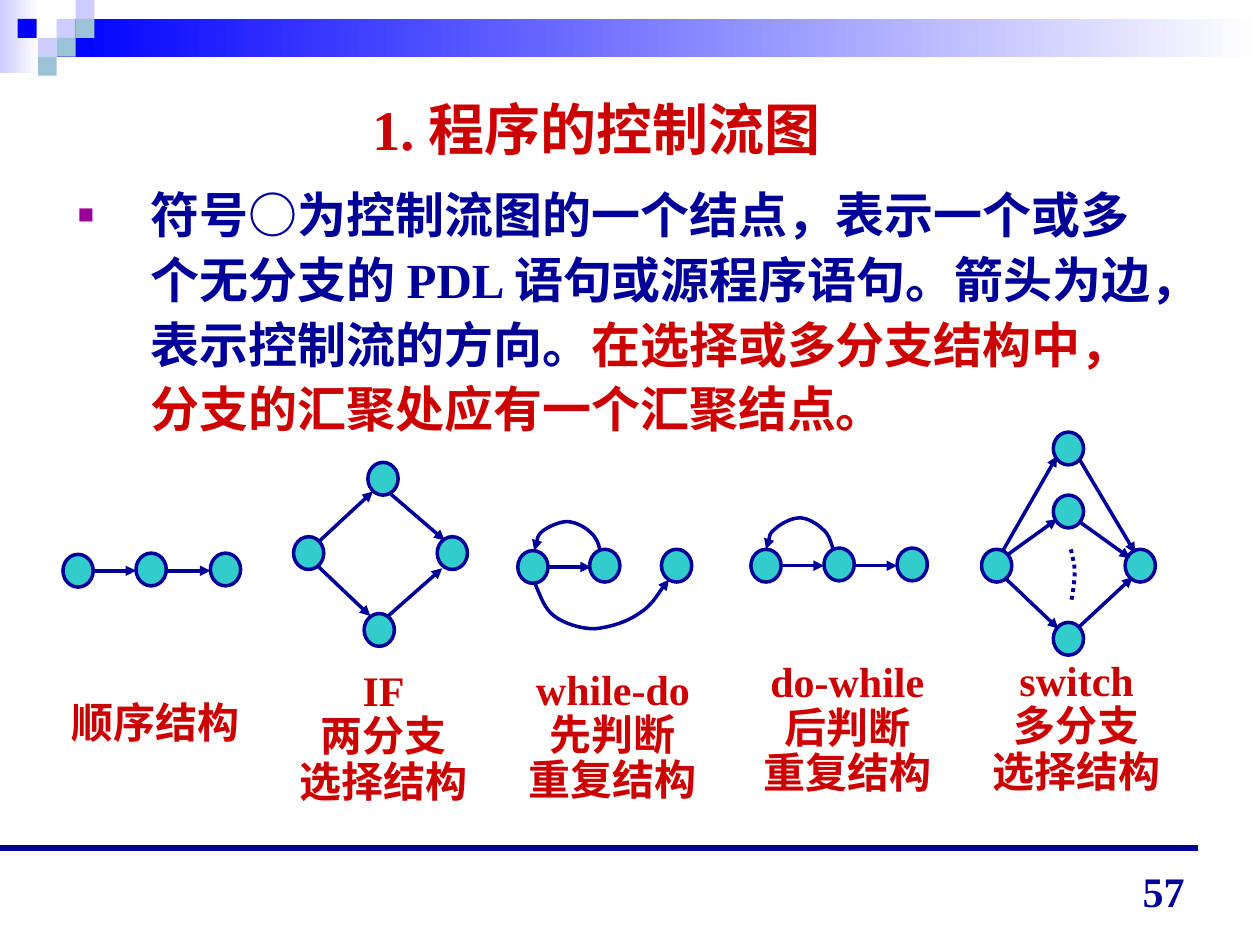
from lxml import etree
from pptx import Presentation
from pptx.dml.color import RGBColor
from pptx.enum.dml import MSO_LINE
from pptx.enum.shapes import MSO_CONNECTOR, MSO_SHAPE
from pptx.enum.text import MSO_ANCHOR, MSO_AUTO_SIZE, PP_ALIGN
from pptx.oxml.ns import qn
from pptx.util import Pt

PX = 9144  # EMU in one px, 100 px to the inch
FONT = "Times New Roman"
NAVY = RGBColor(0x00, 0x00, 0x99)
BLUE = RGBColor(0x00, 0x00, 0xFF)
LAVENDER = RGBColor(0xCC, 0xCC, 0xFF)
STEEL = RGBColor(0x9D, 0xC2, 0xD7)
TEAL = RGBColor(0x33, 0xCC, 0xCC)
RED = RGBColor(0xCC, 0x00, 0x00)
WHITE = RGBColor(0xFF, 0xFF, 0xFF)
PURPLE = RGBColor(0x99, 0x00, 0x99)
RECTANGLE, OVAL = MSO_SHAPE.RECTANGLE, MSO_SHAPE.OVAL
STRAIGHT = MSO_CONNECTOR.STRAIGHT
DOTTED = MSO_LINE.ROUND_DOT
LEFT, CENTER, RIGHT = PP_ALIGN.LEFT, PP_ALIGN.CENTER, PP_ALIGN.RIGHT
TOP, MIDDLE, BOTTOM = MSO_ANCHOR.TOP, MSO_ANCHOR.MIDDLE, MSO_ANCHOR.BOTTOM
FIT_SHAPE = MSO_AUTO_SIZE.SHAPE_TO_FIT_TEXT
NODE_WIDTH, NODE_HEIGHT = 24, 26


class FlowSlide:
    def __init__(self, slide):
        self.slide = slide
        self.shapes = slide.shapes

    def box(self, kind, left, top, width, height, color):
        shape = self.shapes.add_shape(kind, left * PX, top * PX, width * PX, height * PX)
        shape.shadow.inherit = False
        shape.fill.solid()
        shape.fill.fore_color.rgb = color
        shape.line.fill.background()
        return shape

    def fade(self, left, top, width, height, colors):
        shape = self.box(RECTANGLE, left, top, width, height, WHITE)
        shape.fill.gradient()
        shape.fill.gradient_angle = 0
        for stop, color in zip(shape.fill.gradient_stops, colors):
            stop.color.rgb = color

    def stroke(self, shape, weight, arrow):
        shape.line.color.rgb = NAVY
        shape.line.width = Pt(weight)
        if arrow:
            line = shape.line._get_or_add_ln()
            etree.SubElement(line, qn("a:tailEnd"), type="triangle")

    def node(self, left, top):
        shape = self.box(OVAL, left, top, NODE_WIDTH, NODE_HEIGHT, TEAL)
        self.stroke(shape, 2, False)

    def line(self, x1, y1, x2, y2, weight=2, arrow=True):
        connector = self.shapes.add_connector(STRAIGHT, x1 * PX, y1 * PX, x2 * PX, y2 * PX)
        self.stroke(connector, weight, arrow)
        etree.SubElement(connector._element.spPr, qn("a:effectLst"))

    def curve(self, points, weight=2, arrow=True):
        """Draw cubic curves: a start, then two controls and an end for each."""
        builder = self.shapes.build_freeform(*points[0], scale=PX)
        builder.add_line_segments(points[1:], close=False)
        shape = builder.convert_to_shape()
        segments = list(shape._element.iter(qn("a:lnTo")))
        for first in range(0, len(segments), 3):
            cubic = etree.Element(qn("a:cubicBezTo"))
            segments[first].addprevious(cubic)
            for segment in segments[first:first + 3]:
                cubic.append(segment[0])
                segment.getparent().remove(segment)
        shape.shadow.inherit = False
        shape.fill.background()
        self.stroke(shape, weight, arrow)
        return shape

    def text(self, left, top, width, height, paragraphs, size, align=LEFT,
             anchor=TOP, spacing=1.0, wrap=True):
        """Each paragraph is a list of (text, color) runs."""
        frame = self.shapes.add_textbox(left * PX, top * PX, width * PX, height * PX).text_frame
        frame.word_wrap = wrap
        frame.vertical_anchor = anchor
        if not wrap:
            frame.auto_size = FIT_SHAPE
        for index, runs in enumerate(paragraphs):
            paragraph = frame.add_paragraph() if index else frame.paragraphs[0]
            paragraph.alignment = align
            paragraph.line_spacing = spacing
            for content, color in runs:
                run = paragraph.add_run()
                run.text = content
                run.font.name = FONT
                run.font.size = Pt(size)
                run.font.bold = True
                run.font.color.rgb = color
        return frame

    def bullet(self, paragraph, indent):
        properties = paragraph._p.get_or_add_pPr()
        properties.set("marL", str(indent * PX))
        properties.set("indent", str(-indent * PX))
        color = etree.SubElement(properties, qn("a:buClr"))
        etree.SubElement(color, qn("a:srgbClr"), val=str(PURPLE))
        etree.SubElement(properties, qn("a:buSzPct"), val="55000")
        etree.SubElement(properties, qn("a:buFont"), typeface=FONT)
        etree.SubElement(properties, qn("a:buChar"), char="■")


# Each structure: nodes (left, top), arrows (from, to), curved arrows
STRUCTURES = [
    # while-do
    ([(411, 437), (468, 436), (525, 436)],
     [(435, 450, 469, 450)],
     [[(476, 436), (475, 431), (473, 426), (468, 422), (464, 418), (456, 414), (450, 414),
       (444, 414), (435, 418), (430, 422), (426, 426), (425, 435), (424, 437)],
      [(425, 464), (429, 473), (432, 483), (440, 489), (448, 495), (461, 499), (472, 499),
       (483, 498), (497, 494), (507, 487), (517, 481), (527, 464), (531, 460)]]),
    # do-while
    ([(596, 436), (654, 435), (712, 435)],
     [(619, 449, 654, 449), (678, 449, 712, 449)],
     [[(661, 435), (659, 429), (658, 424), (653, 420), (649, 416), (641, 411), (635, 411),
       (628, 411), (619, 416), (615, 420), (610, 424), (610, 433), (608, 436)]]),
    # sequence
    ([(50, 440), (108, 439), (167, 439)],
     [(74, 453, 108, 453), (132, 453, 167, 453)], []),
    # if
    ([(233, 426), (292, 367), (347, 426), (289, 487)],
     [(254, 429, 296, 390), (310, 392, 353, 429),
      (253, 450, 294, 489), (308, 489, 351, 451)], []),
    # switch
    ([(779, 436), (836, 393), (893, 436), (836, 494), (836, 343)],
     [(800, 440, 839, 412), (858, 415, 897, 443), (799, 460, 840, 499),
      (857, 497, 899, 458), (796, 437, 839, 362), (857, 365, 901, 439)], []),
]

LABELS = [
    (228, 527, ["IF", "两分支", "选择结构"]),
    (410, 526, ["while-do", "先判断", "重复结构"]),
    (596, 520, ["do-while", "后判断", "重复结构"]),
    (778, 519, ["switch", "多分支", "选择结构"]),
]

HEADER_SQUARES = [
    (45, 15, LAVENDER), (60, 0, LAVENDER), (60, 15, STEEL), (30, 30, LAVENDER),
    (14, 15, BLUE), (45, 30, STEEL), (30, 45, STEEL),
]


def main():
    presentation = Presentation()
    presentation.slide_width = 1000 * PX
    presentation.slide_height = 750 * PX
    page = FlowSlide(presentation.slides.add_slide(presentation.slide_layouts[6]))

    # Header decoration and footer rule
    page.fade(0, 0, 31, 58, (LAVENDER, WHITE))
    page.fade(45, 15, 955, 30, (BLUE, WHITE))
    for left, top, color in HEADER_SQUARES:
        page.box(RECTANGLE, left, top, 15, 15, color)
    page.line(0, 673, 951, 673, weight=3.25, arrow=False)

    # Title and body
    page.text(177, 66, 593, 71, [[("1. 程序的控制流图", RED)]], 32, CENTER, MIDDLE)
    body = page.text(52, 137, 886, 218, [[
        ("符号○为控制流图的一个结点，表示一个或多个无分支的 PDL 语句或源程序语句。"
         "箭头为边，表示控制流的方向。", NAVY),
        ("在选择或多分支结构中，分支的汇聚处应有一个汇聚结点。", RED),
    ]], 28, spacing=1.1)
    page.bullet(body.paragraphs[0], 58)

    # Control flow graphs
    for nodes, arrows, curves in STRUCTURES:
        for node in nodes:
            page.node(*node)
        for arrow in arrows:
            page.line(*arrow)
        for points in curves:
            page.curve(points)
    more_branches = page.curve([(850, 436), (851, 442), (853, 447), (853, 454),
                                (853, 461), (851, 474), (850, 478)], 2.25, False)
    more_branches.line.dash_style = DOTTED

    # Labels under the graphs
    page.text(47, 548, 153, 50, [[("顺序结构", RED)]], 24, wrap=False)
    for left, top, lines in LABELS:
        page.text(left, top, 153, 118, [[(line, RED)] for line in lines], 24,
                  CENTER, spacing=0.9, wrap=False)

    # Page number
    page.text(717, 682, 233, 50, [[("57", NAVY)]], 24, RIGHT, BOTTOM)

    presentation.save("out.pptx")


if __name__ == "__main__":
    main()
